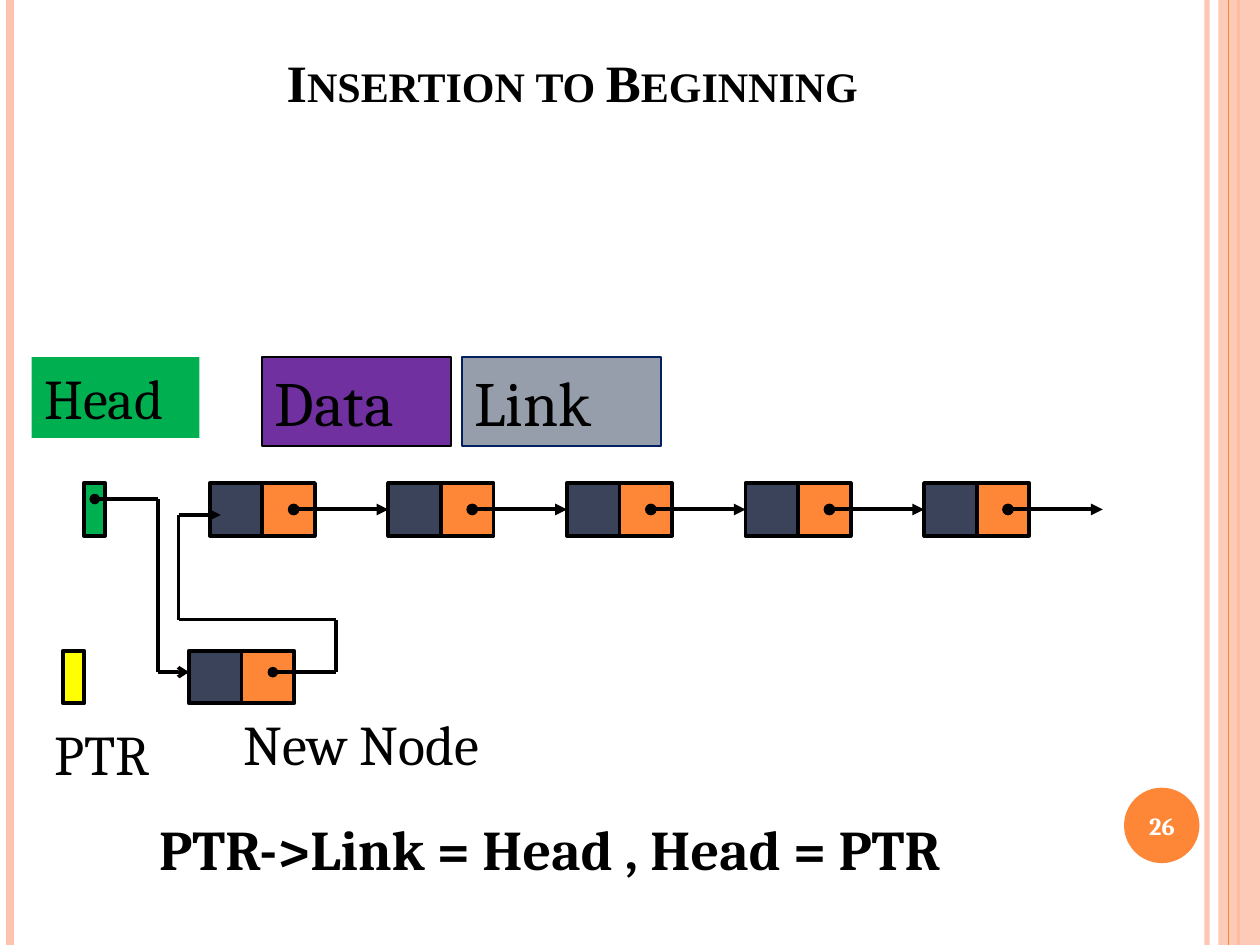
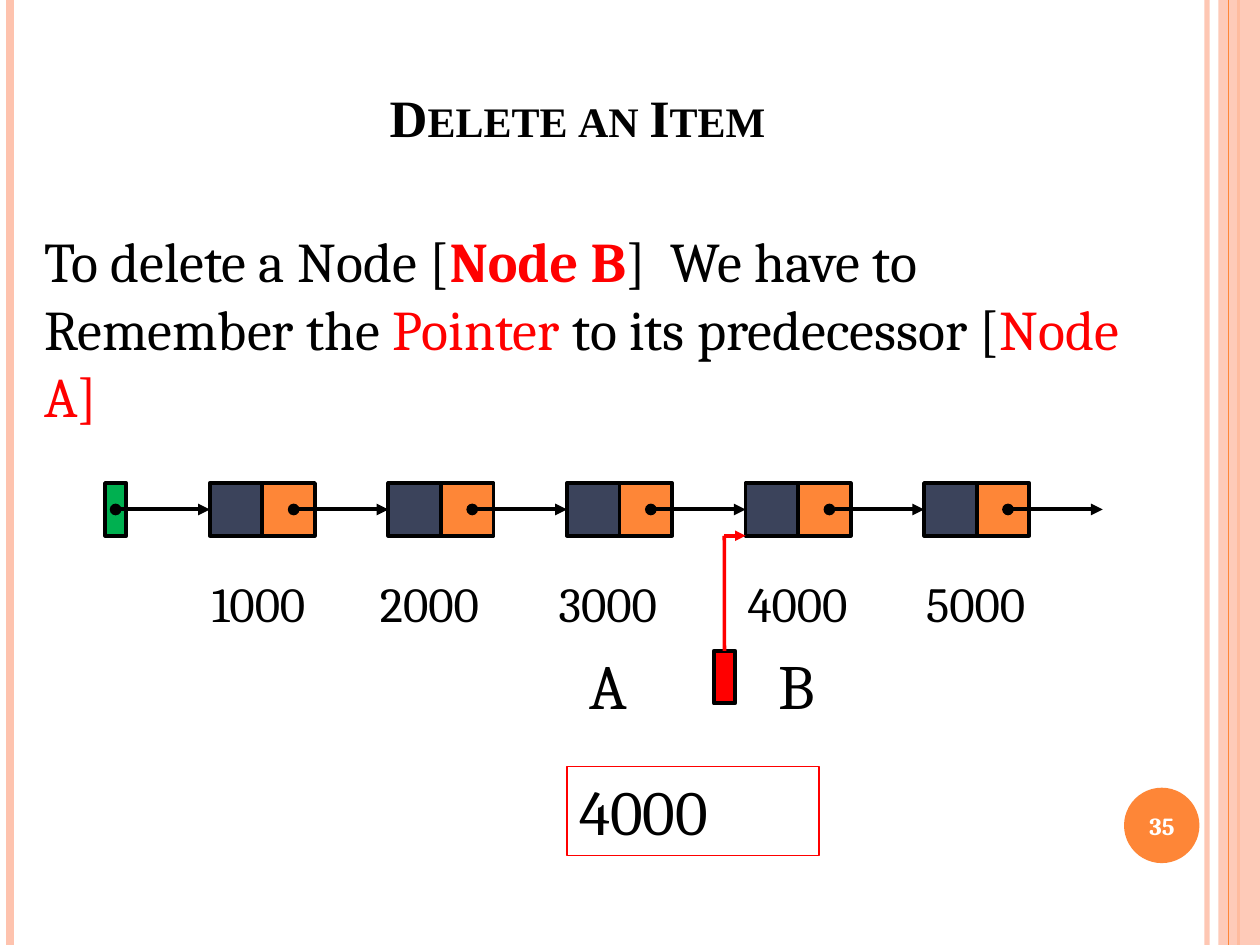
from lxml import etree
from pptx import Presentation
from pptx.dml.color import RGBColor
from pptx.enum.shapes import MSO_CONNECTOR, MSO_SHAPE
from pptx.enum.text import MSO_ANCHOR, MSO_AUTO_SIZE, PP_ALIGN
from pptx.oxml.ns import qn
from pptx.util import Cm, Pt

STRAIGHT = MSO_CONNECTOR.STRAIGHT
RECTANGLE, OVAL = MSO_SHAPE.RECTANGLE, MSO_SHAPE.OVAL
MIDDLE, TOP = MSO_ANCHOR.MIDDLE, MSO_ANCHOR.TOP
LEFT, CENTER = PP_ALIGN.LEFT, PP_ALIGN.CENTER
GROW, FIXED = MSO_AUTO_SIZE.SHAPE_TO_FIT_TEXT, MSO_AUTO_SIZE.NONE

# Shared look (lengths in centimetres, line widths in points)
BODY_FONT, TITLE_FONT = "Cambria", "Times New Roman"
BLACK, WHITE, RED, GREEN, YELLOW = "000000", "FFFFFF", "FF0000", "00B050", "FFFF00"
ORANGE, PEACH, NAVY = "FE8637", "FEC3AE", "3B435B"
PAGE_WIDTH, PAGE_HEIGHT = 25.4, 19.05
RAILS = [(24.33, PEACH, 3, 93), (0.2, PEACH, 4.5, 100), (24.97, ORANGE, 1.5, 100)]

# Linked list geometry
CELL, POINTER_WIDTH = 1.06, 0.43
NODE_COUNT, FIRST_NODE, NODE_PITCH = 5, 4.23, 3.6
CHAIN_TOP, NEW_NODE_TOP = 9.74, 13.12
LINK_START, LINK_LENGTH = 1.69, 1.91

# Insertion slide: text, box, size, fill, line, bold
INSERTION_LABELS = [
    ("Head", (0.64, 7.2, 3.38, 1.63), 32, GREEN, None, False),
    ("Data", (5.29, 7.2, 3.81, 1.8), 36, "7030A0", BLACK, False),
    ("Link", (9.31, 7.2, 4.02, 1.8), 36, "969EAB", "002060", False),
    ("New Node", (4.66, 14.18, 6.56, 1.63), 32, None, None, False),
    ("PTR", (0.85, 14.39, 2.96, 1.63), 32, None, None, False),
    ("PTR->Link = Head , Head = PTR", (2.96, 16.3, 21.38, 1.63), 32, None, None, True),
]
HEAD_ROUTE = [(1.91, 10.06), (3.18, 10.06), (3.18, 13.55), (3.81, 13.55)]
NEW_NODE_ROUTE = [(5.5, 13.55), (6.77, 13.55), (6.77, 12.49),
                  (3.6, 12.49), (3.6, 10.38), (4.45, 10.38)]

# Deletion slide
ADDRESSES = [("1000", 4.02), ("2000", 7.41), ("3000", 11.01), ("4000", 14.82), ("5000", 18.42)]
NODE_NAMES = [("A", 11.64), ("B", 15.45)]
DELETION_NOTE = [
    ("To delete a Node [", {}),
    ("Node B", {"color": RED, "bold": True}),
    ("]  We have to Remember the ", {}),
    ("Pointer", {"color": RED}),
    (" to its predecessor [", {}),
    ("Node A]", {"color": RED}),
]


def rgb(color):
    return RGBColor.from_string(color)


def set_opacity(shape, percent):
    for color in shape._element.spPr.xpath(".//a:srgbClr"):
        etree.SubElement(color, qn("a:alpha")).set("val", str(percent * 1000))


def add_box(page, box, fill=None, line=None, width=2.25, kind=RECTANGLE):
    shape = page.shapes.add_shape(kind, *map(Cm, box))
    shape.shadow.inherit = False
    if fill:
        shape.fill.solid()
        shape.fill.fore_color.rgb = rgb(fill)
    else:
        shape.fill.background()
    if line:
        shape.line.color.rgb = rgb(line)
        shape.line.width = Pt(width)
    else:
        shape.line.fill.background()
    return shape


def add_line(page, start, end, color=BLACK, width=2.25, head=None, tail=None):
    line = page.shapes.add_connector(STRAIGHT, *map(Cm, (*start, *end)))
    line.line.color.rgb = rgb(color)
    line.line.width = Pt(width)
    outline = line.line._get_or_add_ln()
    for tag, style in (("a:headEnd", head), ("a:tailEnd", tail)):
        if style:
            etree.SubElement(outline, qn(tag)).set("type", style)
    etree.SubElement(line._element.spPr, qn("a:effectLst"))
    return line


def add_route(page, points, tail):
    last = len(points) - 2
    for index, (start, end) in enumerate(zip(points, points[1:])):
        add_line(page, start, end, width=2, head="oval" if index == 0 else None,
                 tail=tail if index == last else None)


def write(shape, text, size=32, color=BLACK, bold=False, font=BODY_FONT,
          align=LEFT, anchor=TOP, fit=GROW, small_caps=False):
    """Fill a shape with one paragraph; text is a string or (text, format) spans."""
    frame = shape.text_frame
    frame.word_wrap = True
    frame.auto_size = fit
    frame.vertical_anchor = anchor
    para = frame.paragraphs[0]
    para.alignment = align
    for words, changes in [(text, {})] if isinstance(text, str) else text:
        span = para.add_run()
        span.text = words
        span.font.name = font
        span.font.size = Pt(size)
        span.font.bold = changes.get("bold", bold)
        span.font.color.rgb = rgb(changes.get("color", color))
        if small_caps:
            span.font._element.set("cap", "small")


def add_text(page, box, text, **style):
    write(page.shapes.add_textbox(*map(Cm, box)), text, **style)


def add_page(deck, title, title_height, number):
    page = deck.slides.add_slide(deck.slide_layouts[6])
    # Side rails, band and number badge
    for x, color, width, opacity in RAILS:
        rail = add_line(page, (x, 0), (x, PAGE_HEIGHT), color, width)
        if opacity < 100:
            set_opacity(rail, opacity)
    band = add_box(page, (24.56, 0, 0.84, PAGE_HEIGHT), PEACH)
    set_opacity(band, 87)
    add_line(page, (24.77, 0), (24.77, PAGE_HEIGHT), ORANGE, 0.75)
    add_box(page, (22.66, 15.88, 1.52, 1.52), ORANGE, kind=OVAL)
    # Title and slide number
    add_text(page, (1.27, 0.76, 20.75, title_height), title, size=30, bold=True,
             font=TITLE_FONT, align=CENTER, anchor=MIDDLE, fit=FIXED, small_caps=True)
    add_text(page, (22.58, 15.93, 1.69, 1.45), number, size=14, color=WHITE, bold=True,
             align=CENTER, anchor=MIDDLE, fit=FIXED)
    return page


def add_node(page, left, top):
    add_box(page, (left + CELL, top, CELL, CELL), ORANGE, BLACK)
    return add_box(page, (left, top, CELL, CELL), NAVY, BLACK)


def add_pointer(page, left, top, color):
    return add_box(page, (left, top, POINTER_WIDTH, CELL), color, BLACK)


def add_link(page, start_x, target=None):
    y = CHAIN_TOP + CELL / 2
    link = add_line(page, (start_x, y), (start_x + LINK_LENGTH, y), head="oval", tail="triangle")
    if target:
        link.end_connect(target, 1)


def add_chain(page):
    lefts = [FIRST_NODE + index * NODE_PITCH for index in range(NODE_COUNT)]
    nodes = [add_node(page, left, CHAIN_TOP) for left in lefts]
    for left, target in zip(lefts, nodes[1:] + [None]):
        add_link(page, left + LINK_START, target)
    return nodes


def build_insertion(deck):
    page = add_page(deck, "Insertion to Beginning ", 1.78, "26")
    add_chain(page)
    add_pointer(page, 1.69, CHAIN_TOP, GREEN)
    add_node(page, 3.81, NEW_NODE_TOP)
    add_pointer(page, 1.27, NEW_NODE_TOP, YELLOW)
    for text, box, size, fill, line, bold in INSERTION_LABELS:
        if fill:
            write(add_box(page, box, fill, line, 1), text, size=size, bold=bold)
        else:
            add_text(page, box, text, size=size, bold=bold)
    add_route(page, HEAD_ROUTE, "arrow")
    add_route(page, NEW_NODE_ROUTE, "triangle")


def build_deletion(deck):
    page = add_page(deck, "Delete an Item", 3.18, "35")
    add_text(page, (0.64, 4.45, 22.86, 4.37), DELETION_NOTE)
    nodes = add_chain(page)
    add_pointer(page, 2.12, CHAIN_TOP, GREEN)
    add_link(page, 2.33, nodes[0])
    for address, left in ADDRESSES:
        add_text(page, (left, 11.43, 3.6, 1.45), address, size=28)
    for name, left in NODE_NAMES:
        add_text(page, (left, 12.91, 2.5, 1.8), name, size=36)
    # Red pointer to node B
    pointer = add_pointer(page, 14.39, NEW_NODE_TOP, RED)
    corner = (14.6, CHAIN_TOP + CELL)
    riser = add_line(page, (14.6, NEW_NODE_TOP), corner, RED, 2)
    riser.begin_connect(pointer, 0)
    add_line(page, corner, (15.03, corner[1]), RED, 2, tail="triangle")
    value = add_box(page, (11.43, 15.45, 5.08, 1.8), line=RED, width=0.75)
    write(value, "4000", size=36)


def main():
    deck = Presentation()
    deck.slide_width, deck.slide_height = Cm(PAGE_WIDTH), Cm(PAGE_HEIGHT)
    build_insertion(deck)
    build_deletion(deck)
    deck.save("out.pptx")


if __name__ == "__main__":
    main()
